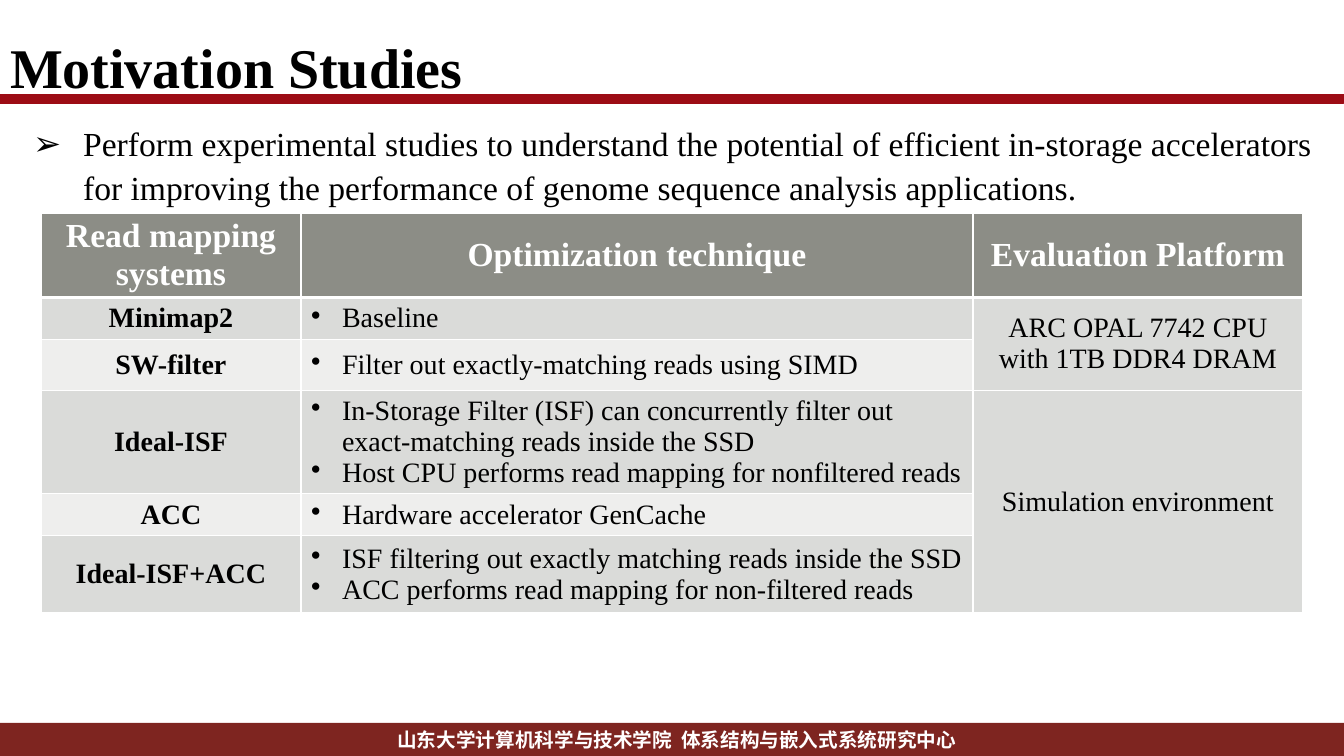
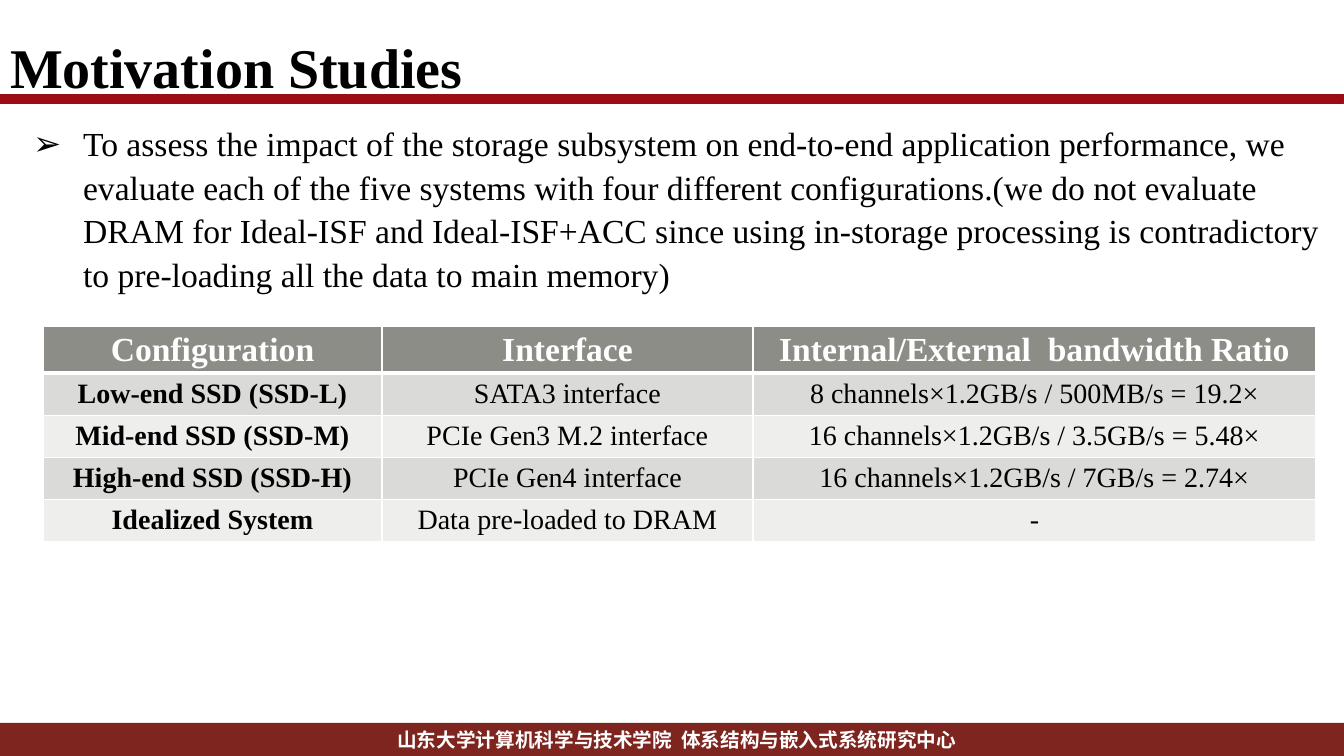
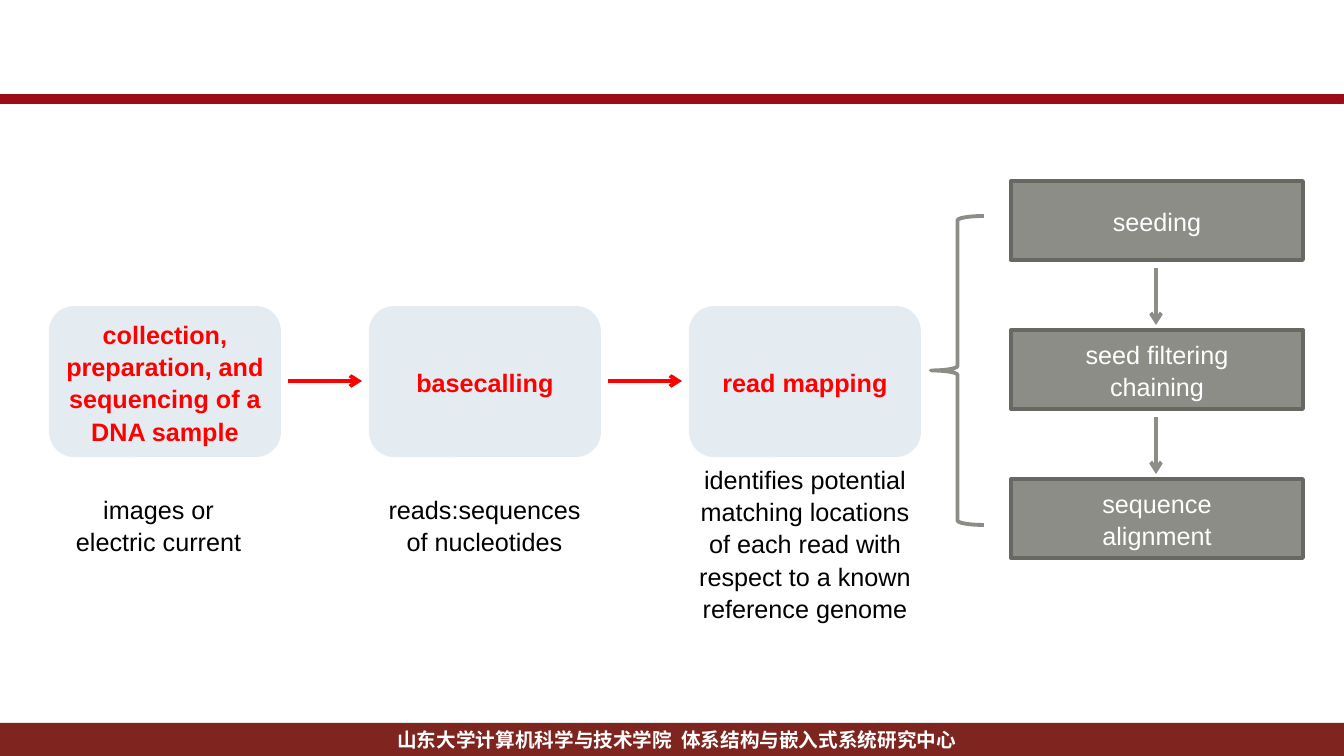
from dataclasses import dataclass

from lxml import etree
from pptx import Presentation
from pptx import util as u
from pptx.dml.color import RGBColor
from pptx.enum import shapes, text
from pptx.oxml.ns import qn

PX = 914400 / 100.8
LEFT, CENTER = text.PP_ALIGN.LEFT, text.PP_ALIGN.CENTER
TOP, MIDDLE = text.MSO_ANCHOR.TOP, text.MSO_ANCHOR.MIDDLE


@dataclass(frozen=True)
class Theme:
    serif: str = "Times New Roman"
    sans: str = "Arial"
    black: str = "000000"
    white: str = "FFFFFF"
    red: str = "FF0000"
    band: str = "9C0C15"
    footer: str = "7E2520"
    gray: str = "8C8D86"
    dark_gray: str = "686863"
    stage: str = "E4ECF1"
    rows: tuple = ("EEEEED", "DADBD9")
    title_size: int = 40
    head_size: int = 24
    cell_size: int = 20
    label_size: int = 18
    footer_size: int = 14
    line: float = 2.75
    body_spacing: float = 1.08
    label_spacing: float = 1.07


def px(n):
    return u.Emu(round(n * PX))


def rgb(value):
    return RGBColor.from_string(value)


def add_bullet(p, char, indent):
    pPr = p._p.get_or_add_pPr()
    pPr.set("marL", str(px(indent)))
    pPr.set("indent", str(-px(indent)))
    etree.SubElement(pPr, qn("a:buChar")).set("char", char)


def add_borders(cell, color, top, bottom):
    tcPr = cell._tc.get_or_add_tcPr()
    for side, points in (("L", 1), ("R", 1), ("T", top), ("B", bottom)):
        ln = etree.SubElement(tcPr, qn(f"a:ln{side}"), w=str(u.Pt(points)))
        fill = etree.SubElement(ln, qn("a:solidFill"))
        etree.SubElement(fill, qn("a:srgbClr")).set("val", color)


class Deck:
    def __init__(self, theme):
        self.theme = theme
        self.prs = Presentation()
        self.prs.slide_width, self.prs.slide_height = px(1344), px(756)
        self.slide = None

    def new_slide(self, layout):
        self.slide = self.prs.slides.add_slide(self.prs.slide_layouts[layout])
        if len(self.prs.slides) == 1:
            self.share_bands()

    def share_bands(self):
        """Put the title rule and the footer on the master, for every slide."""
        t = self.theme
        rule = self.shape("ROUNDED_RECTANGLE", (-1, 96, 1345, 6), t.band, t.band)
        footer = self.shape("RECTANGLE", (-1, 723, 1346, 34), t.footer)
        tf = footer.text_frame
        self.set_lines(tf, ["山东大学计算机科学与技术学院  体系结构与嵌入式系统研究中心"],
                       t.footer_size, t.white, bold=True)
        tf.margin_left, tf.margin_right = px(10), 0
        tf.margin_top = tf.margin_bottom = 0
        for sp in (rule, footer):
            self.prs.slide_master.shapes._spTree.append(sp._element)

    def set_lines(self, tf, lines, size, color, font=None, bold=False, align=CENTER,
                  anchor=MIDDLE, spacing=None, bullet=None):
        """Fill a text frame; bullet is a character and its indent."""
        tf.word_wrap = True
        tf.vertical_anchor = anchor
        for i, line in enumerate(lines):
            p = tf.add_paragraph() if i else tf.paragraphs[0]
            p.text = line
            if bullet:
                add_bullet(p, *bullet)
            p.alignment = align
            p.space_before = u.Pt(0)
            if spacing:
                p.line_spacing = spacing
            for r in p.runs:
                r.font.name = font or self.theme.sans
                r.font.size = u.Pt(size)
                r.font.bold = bold
                r.font.color.rgb = rgb(color)

    def place(self, sp, box):
        sp.left, sp.top, sp.width, sp.height = map(px, box)
        sp.text_frame.auto_size = text.MSO_AUTO_SIZE.NONE

    def title_and_point(self, title, point, height):
        t = self.theme
        self.new_slide(1)
        head, body = self.slide.placeholders
        self.place(head, (0, 33, 1058, 76))
        self.set_lines(head.text_frame, [title], t.title_size, t.black, t.serif,
                       bold=True, align=LEFT, spacing=0.89)
        self.place(body, (23, 115, 1320, height))
        self.set_lines(body.text_frame, [point], t.head_size, t.black, t.serif,
                       align=LEFT, anchor=TOP, spacing=t.body_spacing, bullet=("➢", 50))

    def shape(self, kind, box, fill=None, line=None):
        preset = getattr(shapes.MSO_SHAPE, kind)
        sp = self.slide.shapes.add_shape(preset, *map(px, box))
        sp.shadow.inherit = False
        if fill:
            sp.fill.solid()
            sp.fill.fore_color.rgb = rgb(fill)
        else:
            sp.fill.background()
        if line:
            sp.line.color.rgb = rgb(line)
            sp.line.width = u.Pt(self.theme.line)
        else:
            sp.line.fill.background()
        return sp

    def box(self, kind, box, lines, fill, color, line=None, bold=False):
        sp = self.shape(kind, box, fill, line)
        self.set_lines(sp.text_frame, lines, self.theme.label_size, color, bold=bold,
                       spacing=self.theme.label_spacing)

    def label(self, box, lines):
        t = self.theme
        tf = self.slide.shapes.add_textbox(*map(px, box)).text_frame
        self.set_lines(tf, lines, t.label_size, t.black, anchor=TOP,
                       spacing=t.label_spacing)

    def arrow(self, start, end, color):
        cn = self.slide.shapes.add_connector(
            shapes.MSO_CONNECTOR.STRAIGHT, *map(px, start + end))
        cn.line.color.rgb = rgb(color)
        cn.line.width = u.Pt(self.theme.line)
        ln = cn._element.spPr.find(qn("a:ln"))
        etree.SubElement(ln, qn("a:tailEnd")).set("type", "arrow")
        etree.SubElement(cn._element.spPr, qn("a:effectLst"))

    def table(self, left, top, widths, heights, rows, bullet_col=None):
        """Each cell is a list of lines; None joins the cell above."""
        t = self.theme
        frame = self.slide.shapes.add_table(
            len(rows), len(widths), px(left), px(top), px(sum(widths)), px(sum(heights)))
        tbl = frame.table
        for col, width in zip(tbl.columns, widths):
            col.width = px(width)
        for row, height in zip(tbl.rows, heights):
            row.height = px(height)
        for i, row in enumerate(rows):
            header = i == 0
            for j, lines in enumerate(row):
                cell = tbl.cell(i, j)
                add_borders(cell, t.white, 3 if i == 1 else 1, 3 if header else 1)
                cell.fill.solid()
                cell.fill.fore_color.rgb = rgb(t.gray if header else t.rows[i % 2])
                if lines is None:
                    continue
                bulleted = j == bullet_col and not header
                self.set_lines(cell.text_frame, lines,
                               t.head_size if header else t.cell_size,
                               t.white if header else t.black, t.serif,
                               bold=header or j == 0,
                               align=LEFT if bulleted else CENTER,
                               bullet=("•", 31) if bulleted else None)
                cell.vertical_anchor = MIDDLE
                last = i
                while last + 1 < len(rows) and rows[last + 1][j] is None:
                    last += 1
                if last > i:
                    cell.merge(tbl.cell(last, j))


def systems_slide(deck):
    deck.title_and_point(
        "Motivation Studies",
        "Perform experimental studies to understand the potential of efficient "
        "in-storage accelerators for improving the performance of genome sequence "
        "analysis applications.", 92)
    deck.table(41, 213, (260, 672, 330), (84, 42, 51, 103, 42, 77), [
        (["Read mapping systems"], ["Optimization technique"], ["Evaluation Platform"]),
        (["Minimap2"], ["Baseline"], ["ARC OPAL 7742 CPU", "with 1TB DDR4 DRAM"]),
        (["SW-filter"], ["Filter out exactly-matching reads using SIMD"], None),
        (["Ideal-ISF"],
         ["In-Storage Filter (ISF) can concurrently filter out exact-matching reads "
          "inside the SSD",
          "Host CPU performs read mapping for nonfiltered reads"],
         ["Simulation environment"]),
        (["ACC"], ["Hardware accelerator GenCache"], None),
        (["Ideal-ISF+ACC"],
         ["ISF filtering out exactly matching reads inside the SSD",
          "ACC performs read mapping for non-filtered reads"], None),
    ], bullet_col=1)


def configurations_slide(deck):
    deck.title_and_point(
        "Motivation Studies",
        "To assess the impact of the storage subsystem on end-to-end application "
        "performance, we evaluate each of the five systems with four different "
        "configurations.(we do not evaluate DRAM for Ideal-ISF and Ideal-ISF+ACC since "
        "using in-storage processing is contradictory to pre-loading all the data to "
        "main memory)", 173)
    rows = [
        ("Configuration", "Interface", "Internal/External  bandwidth Ratio"),
        ("Low-end SSD (SSD-L)", "SATA3 interface", "8 channels×1.2GB/s / 500MB/s = 19.2×"),
        ("Mid-end SSD (SSD-M)", "PCIe Gen3 M.2 interface",
         "16 channels×1.2GB/s / 3.5GB/s = 5.48×"),
        ("High-end SSD (SSD-H)", "PCIe Gen4 interface", "16 channels×1.2GB/s / 7GB/s = 2.74×"),
        ("Idealized System", "Data pre-loaded to DRAM", "-"),
    ]
    deck.table(43, 326, (339, 371, 563), (47, 42, 42, 42, 42),
               [[[cell] for cell in row] for row in rows])


def pipeline_slide(deck):
    t = deck.theme
    deck.new_slide(6)
    stages = [
        ("collection, preparation, and sequencing of a DNA sample",
         (48, 487, 221, 72), ["images or", "electric current"]),
        ("basecalling", (297, 487, 375, 72), ["reads:sequences", "of nucleotides"]),
        ("read mapping", (689, 457, 232, 162),
         ["identifies potential matching locations of each read with respect to a "
          "known reference genome"]),
    ]
    width, pitch, gap = 232, 320, 7
    for i, (name, label_box, lines) in enumerate(stages):
        x = 49 + i * pitch
        deck.box("ROUNDED_RECTANGLE", (x, 306, width, 151), [name], t.stage, t.red, bold=True)
        deck.label(label_box, lines)
        if i < len(stages) - 1:
            deck.arrow((x + width + gap, 381), (x + pitch - gap, 381), t.red)

    deck.shape("LEFT_BRACE", (931, 216, 53, 309), line=t.gray)
    steps = [["seeding"], ["seed filtering", "chaining"], ["sequence", "alignment"]]
    for i, lines in enumerate(steps):
        y = 181 + i * 149
        deck.box("RECTANGLE", (1011, y, 292, 79), lines, t.gray, t.white, line=t.dark_gray)
        if i < len(steps) - 1:
            deck.arrow((1156, y + 87), (1156, y + 144), t.gray)


def main():
    deck = Deck(Theme())
    systems_slide(deck)
    configurations_slide(deck)
    pipeline_slide(deck)
    deck.prs.save("out.pptx")


if __name__ == "__main__":
    main()
